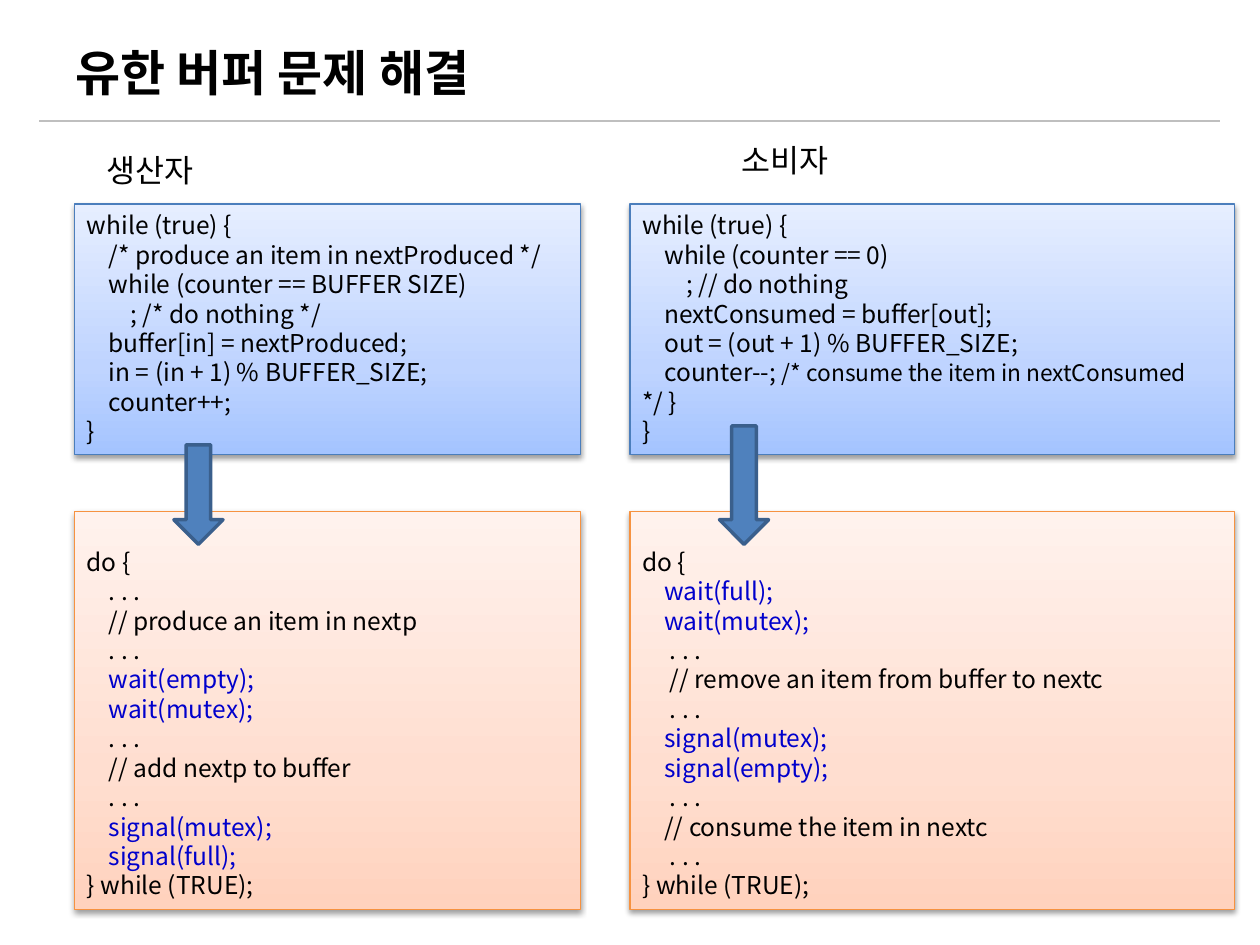
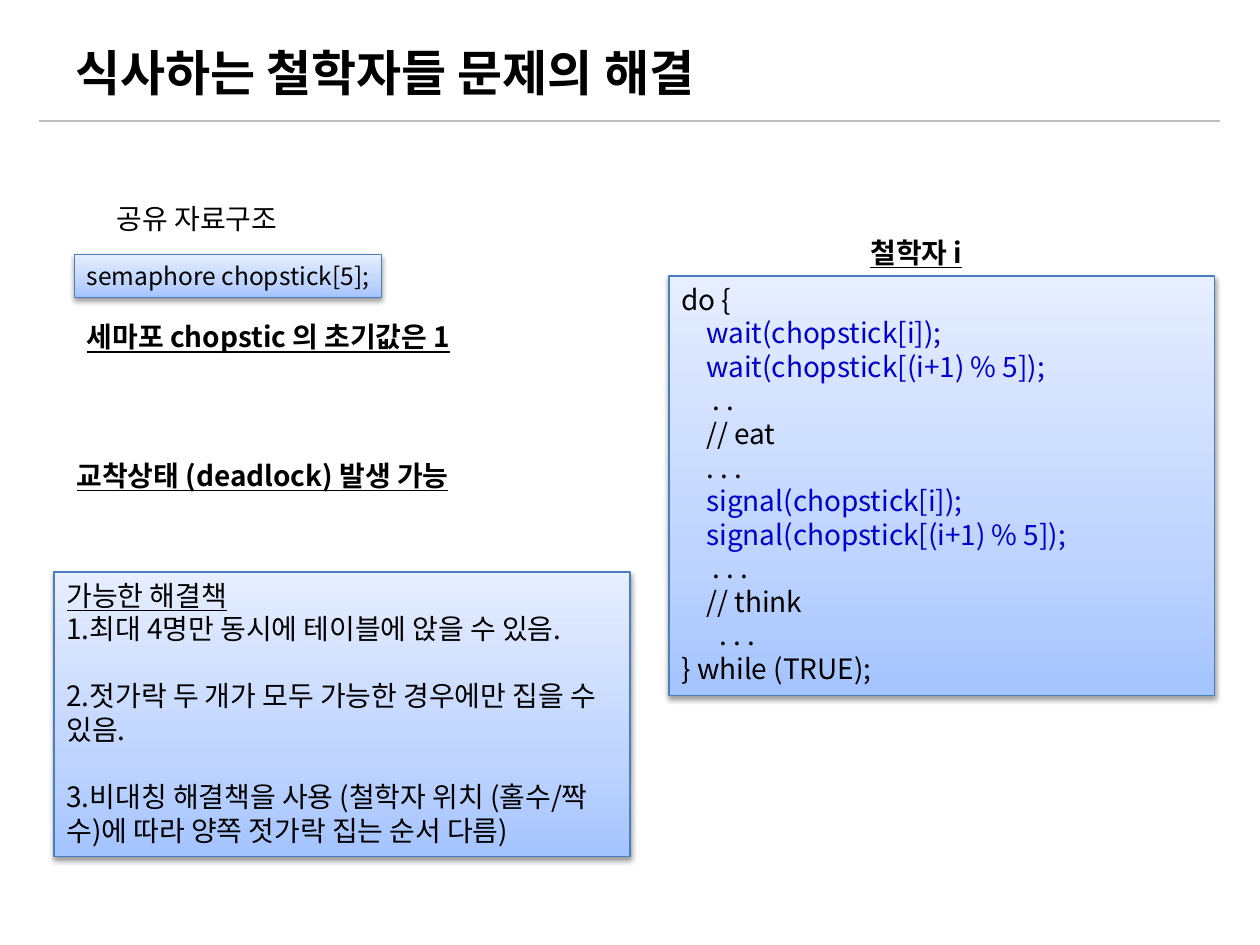
import dataclasses

import pptx
import pptx.dml.color
import pptx.enum.shapes
import pptx.enum.text
import pptx.oxml
import pptx.oxml.ns
import pptx.util

# Lengths are in px, 100 to the inch
EMU_PER_PX = 9144
FONT = "Noto Sans CJK KR"
BLACK, CALL_BLUE = "000000", "0000CC"
LINE_PITCH = 1.2     # line height per point of text size
SPACE_WIDTH = 0.224  # width of one indent column per point of text size

# Panel styles: gradient stops from bottom to top, and outline
BLUE_PANEL = {"stops": [(0, "A4C4FF"), (35, "BFD4FF"), (100, "E6EEFF")], "outline": "4B7EBC"}
ORANGE_PANEL = {"stops": [(0, "FFD2BD"), (35, "FFDED0"), (100, "FFF2ED")], "outline": "F69240"}
EMPHASIS = {"bold": True, "underline": True}


@dataclasses.dataclass
class Line:
    runs: list                 # (text, format values) pairs
    indent: int = 0            # first-line indent in columns
    gap_before: float = 0      # gap above, in lines


def px(length):
    return pptx.util.Emu(length * EMU_PER_PX)


def box(*lengths):
    return [px(length) for length in lengths]


def color(hex_value):
    return pptx.dml.color.RGBColor.from_string(hex_value)


def plain(text, **formats):
    return Line([(text, formats)])


def code(*rows):
    """Turn (indent, text) rows into lines; semaphore calls are blue."""
    lines = []
    for indent, text in rows:
        is_call = text.startswith(("wait(", "signal("))
        lines.append(Line([(text, {"color": CALL_BLUE if is_call else BLACK})], indent))
    return lines


def write(shape, lines, size, top_inset=5, right_inset=10, anchor="TOP"):
    frame = shape.text_frame
    settings = {
        "word_wrap": True,
        "auto_size": pptx.enum.text.MSO_AUTO_SIZE.NONE,
        "vertical_anchor": pptx.enum.text.MSO_ANCHOR[anchor],
        "margin_left": px(10), "margin_right": px(right_inset),
        "margin_top": px(top_inset), "margin_bottom": px(5),
    }
    for name, value in settings.items():
        setattr(frame, name, value)

    for number, line in enumerate(lines):
        paragraph = frame.add_paragraph() if number else frame.paragraphs[0]
        spacing = {
            "alignment": pptx.enum.text.PP_ALIGN.LEFT,
            "line_spacing": pptx.util.Pt(size * LINE_PITCH),
            "space_before": pptx.util.Pt(size * LINE_PITCH * line.gap_before),
            "space_after": pptx.util.Pt(0),
        }
        for name, value in spacing.items():
            setattr(paragraph, name, value)
        properties = paragraph._p.get_or_add_pPr()
        properties.set("marL", "0")
        properties.set("indent", str(pptx.util.Pt(line.indent * size * SPACE_WIDTH)))

        for text, formats in line.runs:
            run = paragraph.add_run()
            run.text = text
            values = {"name": FONT, "size": size, "color": BLACK} | formats
            run.font.color.rgb = color(values.pop("color"))
            values["size"] = pptx.util.Pt(values["size"])
            for name, value in values.items():
                setattr(run.font, name, value)

    # Korean glyphs take the East Asian typeface
    for latin in list(shape.element.iter(pptx.oxml.ns.qn("a:latin"))):
        latin.addnext(latin.makeelement(pptx.oxml.ns.qn("a:ea"), {"typeface": FONT}))


def add_header_rule(slide, layout):
    """Draw the rule under the title and move it to the shared layout."""
    rule = slide.shapes.add_connector(
        pptx.enum.shapes.MSO_CONNECTOR.STRAIGHT, *box(31, 96, 968, 96))
    rule.line.color.rgb = color("BFBFBF")
    rule.line.width = pptx.util.Pt(0.75)
    rule.element.spPr.append(rule.element.makeelement(pptx.oxml.ns.qn("a:effectLst"), {}))
    layout.shapes.element.append(rule.element)


def add_titled_slide(deck, layout, title):
    slide = deck.slides.add_slide(layout)
    heading = slide.shapes.title
    heading.left, heading.top, heading.width, heading.height = box(50, 30, 900, 54)
    write(heading, [plain(title, bold=True)], 28, anchor="MIDDLE")
    return slide


def add_label(slide, place, text, size=16, **formats):
    label = slide.shapes.add_textbox(*box(*place))
    write(label, [plain(text, **formats)], size)


def add_panel(slide, place, style, lines, size=14, **insets):
    panel = slide.shapes.add_shape(pptx.enum.shapes.MSO_SHAPE.RECTANGLE, *box(*place))
    namespace = pptx.oxml.ns.nsdecls("a")

    # Gradient fill
    stops = "".join(
        f'<a:gs pos="{position * 1000}"><a:srgbClr val="{hex_value}"/></a:gs>'
        for position, hex_value in style["stops"])
    panel.element.spPr.prstGeom.addnext(pptx.oxml.parse_xml(
        f'<a:gradFill {namespace} rotWithShape="1"><a:gsLst>{stops}</a:gsLst>'
        '<a:lin ang="16200000" scaled="0"/></a:gradFill>'))
    panel.line.color.rgb = color(style["outline"])
    panel.line.width = pptx.util.Pt(0.75)

    # Soft shadow below
    panel.shadow.inherit = False
    effects = panel.element.spPr.find(pptx.oxml.ns.qn("a:effectLst"))
    effects.append(pptx.oxml.parse_xml(
        f'<a:outerShdw {namespace} blurRad="40000" dist="20000" dir="5400000" rotWithShape="0">'
        f'<a:srgbClr val="{BLACK}"><a:alpha val="38000"/></a:srgbClr></a:outerShdw>'))
    write(panel, lines, size, **insets)


def add_down_arrow(slide, place):
    arrow = slide.shapes.add_shape(pptx.enum.shapes.MSO_SHAPE.DOWN_ARROW, *box(*place))
    arrow.shadow.inherit = False
    arrow.fill.solid()
    arrow.fill.fore_color.rgb = color("4F81BD")
    arrow.line.color.rgb = color("3A5F8C")
    arrow.line.width = pptx.util.Pt(2)


def fill_bounded_buffer(slide):
    add_label(slide, (75, 115, 150, 40), "생산자", 18)
    add_label(slide, (579, 107, 150, 40), "소비자", 18)

    # Busy-waiting versions
    busy_producer = code(
        (0, "while (true) {"),
        (4, "/* produce an item in nextProduced */"),
        (4, "while (counter == BUFFER SIZE)"),
        (8, "; /* do nothing */"),
        (4, "buffer[in] = nextProduced;"),
        (4, "in = (in + 1) % BUFFER_SIZE;"),
        (4, "counter++;"),
        (0, "}"))
    busy_consumer = code(
        (0, "while (true) {"),
        (4, "while (counter == 0)"),
        (8, "; // do nothing"),
        (4, "nextConsumed = buffer[out];"),
        (4, "out = (out + 1) % BUFFER_SIZE;"),
        (4, "counter--; "),
        (0, "}"))
    busy_consumer[5].runs += [
        ("/* consume the item in nextConsumed ", {"size": 13}), ("*/ }", {})]

    # Semaphore versions
    semaphore_producer = code(
        (0, "do {"),
        (4, ". . ."),
        (4, "// produce an item in nextp"),
        (4, ". . ."),
        (4, "wait(empty);"),
        (4, "wait(mutex);"),
        (4, ". . ."),
        (4, "// add nextp to buffer"),
        (4, ". . ."),
        (4, "signal(mutex);"),
        (4, "signal(full);"),
        (0, "} while (TRUE);"))
    semaphore_consumer = code(
        (0, "do {"),
        (4, "wait(full);"),
        (4, "wait(mutex);"),
        (5, ". . ."),
        (5, "// remove an item from buffer to nextc"),
        (5, ". . ."),
        (4, "signal(mutex);"),
        (4, "signal(empty);"),
        (5, ". . ."),
        (4, "// consume the item in nextc"),
        (5, ". . ."),
        (0, "} while (TRUE);"))

    columns = [(59, 402, busy_producer, semaphore_producer),
               (500, 480, busy_consumer, semaphore_consumer)]
    for left, width, busy, semaphore in columns:
        add_panel(slide, (left, 162, width, 199), BLUE_PANEL, busy)
        add_panel(slide, (left, 406, width, 316), ORANGE_PANEL, semaphore, top_inset=28)

    add_down_arrow(slide, (138, 353, 39, 79))
    add_down_arrow(slide, (571, 338, 39, 94))


def fill_dining_philosophers(slide):
    # Shared data and deadlock
    add_label(slide, (83, 155, 220, 37), "공유 자료구조")
    add_panel(slide, (59, 202, 244, 34), BLUE_PANEL,
              code((0, "semaphore chopstick[5];")), right_inset=0)
    add_label(slide, (59, 249, 339, 37), "세마포 chopstic 의 초기값은 1", **EMPHASIS)
    add_label(slide, (51, 359, 339, 37), "교착상태 (deadlock) 발생 가능", **EMPHASIS)

    # Possible solutions
    solutions = [
        plain("가능한 해결책", underline=True),
        plain("1.최대 4명만 동시에 테이블에 앉을 수 있음."),
        plain("2.젓가락 두 개가 모두 가능한 경우에만 집을 수 있음."),
        plain("3.비대칭 해결책을 사용 (철학자 위치 (홀수/짝수)에 따라 양쪽 젓가락 집는 순서 다름)"),
    ]
    for solution in solutions[2:]:
        solution.gap_before = 1
    add_panel(slide, (43, 454, 457, 226), BLUE_PANEL, solutions, 16)

    # Code of one philosopher
    philosopher = code(
        (0, "do {"),
        (4, "wait(chopstick[i]);"),
        (4, "wait(chopstick[(i+1) % 5]);"),
        (5, ". ."),
        (4, "// eat"),
        (4, ". . ."),
        (4, "signal(chopstick[i]);"),
        (4, "signal(chopstick[(i+1) % 5]);"),
        (5, ". . ."),
        (4, "// think"),
        (6, ". . ."),
        (0, "} while (TRUE);"))
    add_panel(slide, (531, 219, 433, 333), BLUE_PANEL, philosopher, 16)
    add_label(slide, (681, 182, 118, 37), "철학자 i", **EMPHASIS)


def main():
    deck = pptx.Presentation()
    deck.slide_width, deck.slide_height = box(1000, 750)
    title_only = deck.slide_layouts[5]

    bounded_buffer = add_titled_slide(deck, title_only, "유한 버퍼 문제 해결")
    add_header_rule(bounded_buffer, title_only)
    fill_bounded_buffer(bounded_buffer)

    philosophers = add_titled_slide(deck, title_only, "식사하는 철학자들 문제의 해결")
    fill_dining_philosophers(philosophers)

    deck.save("out.pptx")


if __name__ == "__main__":
    main()
